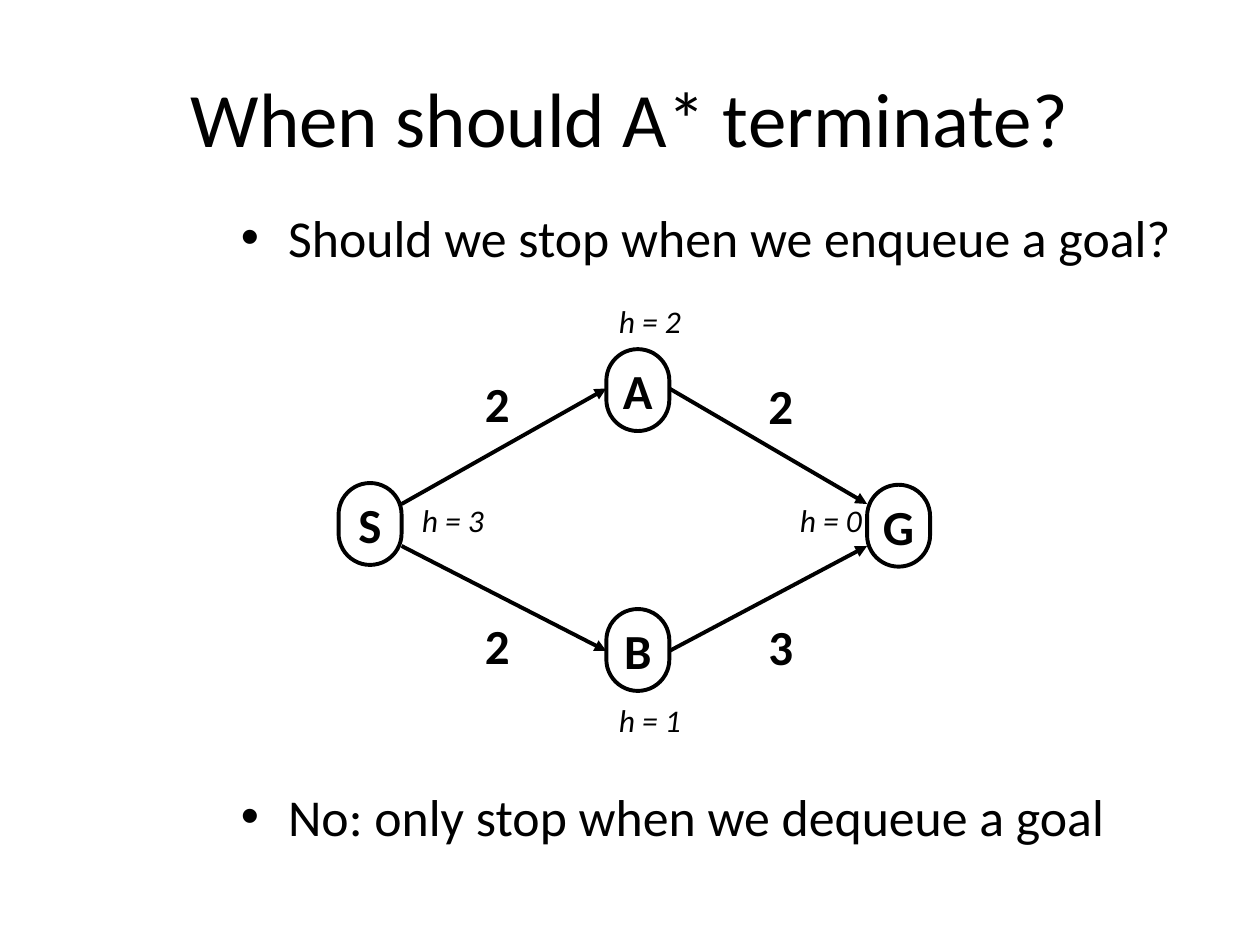
from lxml.etree import SubElement
from pptx import Presentation
from pptx.dml.color import RGBColor
from pptx.enum.shapes import MSO_CONNECTOR, MSO_SHAPE
from pptx.enum.text import MSO_ANCHOR, PP_ALIGN
from pptx.oxml.ns import qn
from pptx.util import Pt

BLACK = RGBColor(0x00, 0x00, 0x00)
FONT = "Calibri"
NODE_W, NODE_H = 36, 46.8
LINE_W = 2.25


class Deck:
    def __init__(self, prs):
        self.s = prs.slides.add_slide(prs.slide_layouts[6])

    def run(self, p, text, size, bold=False, italic=False):
        r = p.add_run()
        r.text = text
        r.font.name = FONT
        r.font.size = Pt(size)
        r.font.bold = bold
        r.font.italic = italic
        r.font.color.rgb = BLACK

    def box(self, x, y, w, h):
        sp = self.s.shapes.add_textbox(Pt(x), Pt(y), Pt(w), Pt(h))
        sp.text_frame.word_wrap = True
        return sp.text_frame

    def title(self, text, x, y, w, h):
        tf = self.box(x, y, w, h)
        tf.vertical_anchor = MSO_ANCHOR.MIDDLE
        p = tf.paragraphs[0]
        p.alignment = PP_ALIGN.CENTER
        self.run(p, text, 44)

    def bullets(self, items, x, y, w, h, gap):
        tf = self.box(x, y, w, h)
        for i, text in enumerate(items):
            p = tf.add_paragraph() if i else tf.paragraphs[0]
            pPr = p._p.get_or_add_pPr()
            pPr.set("marL", str(Pt(27)))
            pPr.set("indent", str(-Pt(27)))
            SubElement(pPr, qn("a:buFont"), typeface="Arial")
            SubElement(pPr, qn("a:buChar"), char="•")
            if i:
                p.space_before = Pt(gap)
            self.run(p, text, 29.6)

    def label(self, text, x, y, w, h, size, bold=False, italic=False):
        tf = self.box(x, y, w, h)
        self.run(tf.paragraphs[0], text, size, bold, italic)

    def node(self, text, x, y):
        sp = self.s.shapes.add_shape(
            MSO_SHAPE.ROUNDED_RECTANGLE, Pt(x), Pt(y), Pt(NODE_W), Pt(NODE_H))
        sp.adjustments[0] = 0.5
        sp.shadow.inherit = False
        sp.fill.background()
        sp.line.color.rgb = BLACK
        sp.line.width = Pt(LINE_W)
        tf = sp.text_frame
        tf.word_wrap = False
        tf.vertical_anchor = MSO_ANCHOR.MIDDLE
        p = tf.paragraphs[0]
        p.alignment = PP_ALIGN.CENTER
        self.run(p, text, 28, bold=True)

    def arrow(self, x1, y1, x2, y2):
        c = self.s.shapes.add_connector(
            MSO_CONNECTOR.STRAIGHT, Pt(x1), Pt(y1), Pt(x2), Pt(y2))
        c.line.color.rgb = BLACK
        c.line.width = Pt(LINE_W)
        SubElement(c.line._get_or_add_ln(), qn("a:tailEnd"), type="triangle")
        SubElement(c._element.spPr, qn("a:effectLst"))


def main():
    prs = Presentation()
    prs.slide_width, prs.slide_height = Pt(720), Pt(540)
    d = Deck(prs)

    d.title("When should A* terminate?", 36, 21.6, 648, 90)
    d.bullets(["Should we stop when we enqueue a goal?",
               "No: only stop when we dequeue a goal"],
              130.5, 114, 574.5, 378, 295.3)

    start_x, mid_x, goal_x = 193.5, 346.5, 495.5
    for name, x, y in [("S", start_x, 276), ("B", mid_x, 348),
                       ("A", mid_x, 199.5), ("G", goal_x, 277)]:
        d.node(name, x, y)

    for mid_y, end_y in [(222, 288), (372, 312)]:
        d.arrow(start_x + NODE_W, end_y, mid_x, mid_y)
        d.arrow(mid_x + NODE_W, mid_y, goal_x, end_y)

    for cost, x, y in [("2", 270, 210), ("2", 432, 211),
                       ("2", 270, 348), ("3", 432, 349)]:
        d.label(cost, x, y, 27, 41, 28, bold=True)

    for h, x, y in [(1, mid_x, 397), (2, mid_x, 169),
                    (0, 450, 283), (3, 234, 283)]:
        d.label(f"h = {h}", x, y, 54, 29, 18, italic=True)

    prs.save("out.pptx")


if __name__ == "__main__":
    main()
